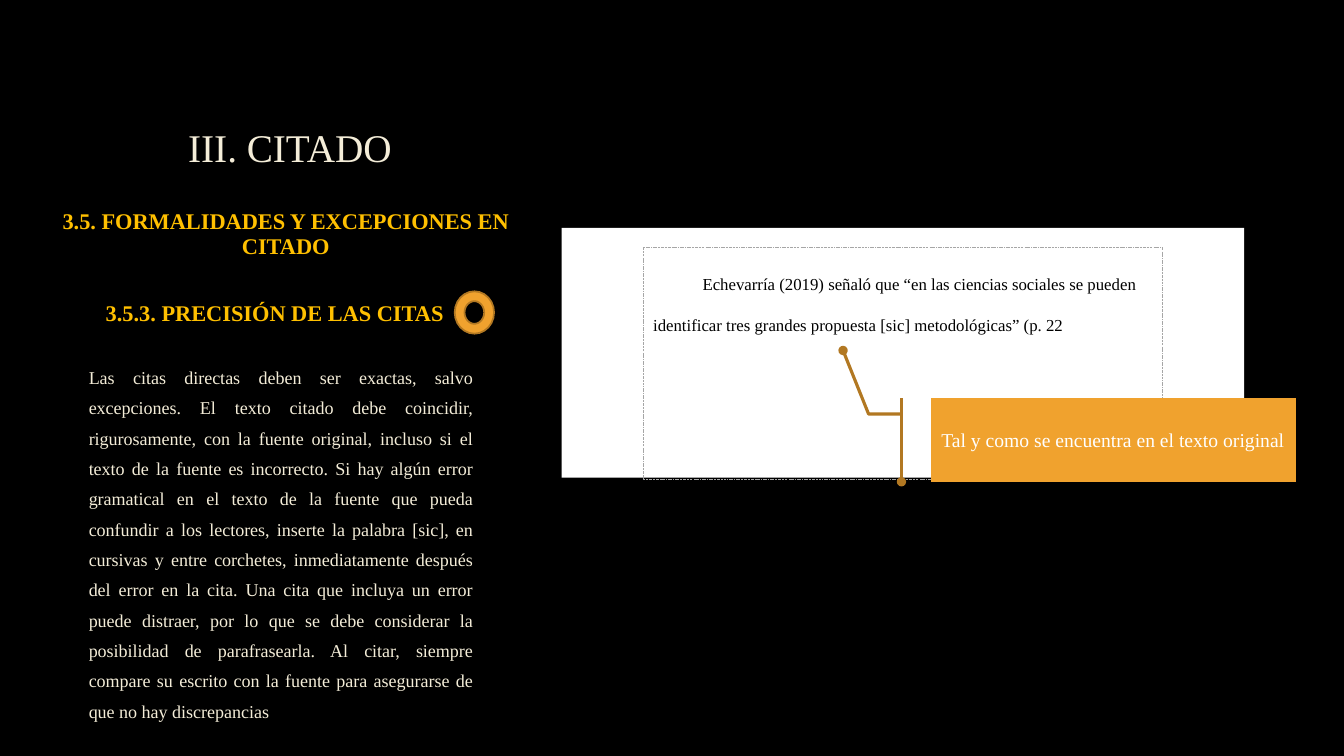
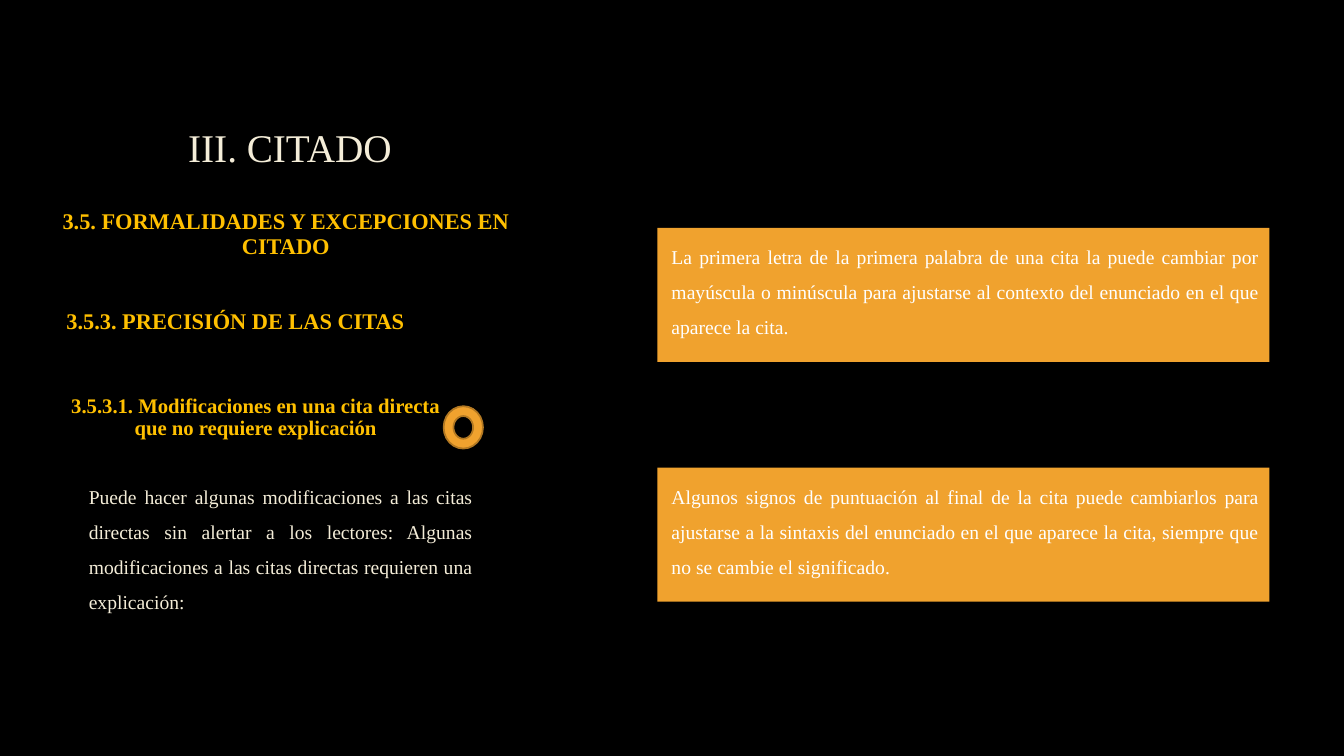
from pptx import Presentation
from pptx.dml.color import RGBColor
from pptx.enum.dml import MSO_LINE
from pptx.enum.shapes import MSO_SHAPE as Shape
from pptx.enum.text import MSO_ANCHOR as Anchor, MSO_AUTO_SIZE as AutoSize, PP_ALIGN as Align
from pptx.oxml.ns import qn
from pptx.util import Inches, Pt
from lxml.etree import SubElement

# Shared style
FONT = "Times New Roman"
BLACK = RGBColor(0x00, 0x00, 0x00)
WHITE = RGBColor(0xFF, 0xFF, 0xFF)
CREAM = RGBColor(0xF4, 0xED, 0xD8)
GOLD = RGBColor(0xFF, 0xC0, 0x00)
ORANGE = RGBColor(0xF0, 0xA2, 0x2E)
BROWN = RGBColor(0xB2, 0x78, 0x22)
GREY = RGBColor(0xA6, 0xA6, 0xA6)

COMPARISON_LAYOUT = 4
HEADING_INDEX, BODY_INDEX = 1, 3

# Wording
TITLE = "III. CITADO"
SECTION = "3.5. FORMALIDADES Y EXCEPCIONES EN CITADO"
SUBSECTION = "3.5.3. PRECISIÓN DE LAS CITAS"
PRECISION = (
    "Las citas directas deben ser exactas, salvo excepciones. El texto citado debe coincidir, "
    "rigurosamente, con la fuente original, incluso si el texto de la fuente es incorrecto. "
    "Si hay algún error gramatical en el texto de la fuente que pueda confundir a los lectores, "
    "inserte la palabra [sic], en cursivas y entre corchetes, inmediatamente después del error "
    "en la cita. Una cita que incluya un error puede distraer, por lo que se debe considerar la "
    "posibilidad de parafrasearla. Al citar, siempre compare su escrito con la fuente para "
    "asegurarse de que no hay discrepancias"
)
QUOTE = (
    "Echevarría (2019) señaló que “en las ciencias sociales se pueden identificar tres grandes "
    "propuesta [sic] metodológicas” (p. 22"
)
CALLOUT = "Tal y como se encuentra en el texto original"
MODIFICATIONS_HEADING = "3.5.3.1. Modificaciones en una cita directa que no requiere explicación"
MODIFICATIONS = (
    "Puede hacer algunas modificaciones a las citas directas sin alertar a los lectores: "
    "Algunas modificaciones a las citas directas requieren una explicación:"
)
RULES = (
    "La primera letra de la primera palabra de una cita la puede cambiar por mayúscula o "
    "minúscula para ajustarse al contexto del enunciado en el que aparece la cita.",
    "Algunos signos de puntuación al final de la cita puede cambiarlos para ajustarse a la "
    "sintaxis del enunciado en el que aparece la cita, siempre que no se cambie el significado.",
)


def write_text(shape, text, size=14, color=CREAM, bold=False, align=Align.CENTER,
               spacing=1.0, anchor=Anchor.TOP, margin_left=0.1, first_indent=0):
    """Fill a shape, text box or placeholder with one formatted paragraph."""
    frame = shape.text_frame
    frame.word_wrap = True
    frame.auto_size = AutoSize.NONE
    frame.vertical_anchor = anchor
    frame.margin_left = Inches(margin_left)
    frame.margin_right = Inches(0.1)
    frame.margin_top = frame.margin_bottom = Inches(0.05)
    paragraph = frame.paragraphs[0]
    paragraph.alignment = align
    paragraph.line_spacing = spacing
    paragraph.space_before = Pt(0)
    if first_indent:
        paragraph._p.get_or_add_pPr().set("indent", str(Inches(first_indent)))
    run = paragraph.add_run()
    run.text = text
    run.font.name = FONT
    run.font.size = Pt(size)
    run.font.bold = bold
    run.font.color.rgb = color


def fill_placeholder(placeholder, box, text, **style):
    placeholder.left, placeholder.top, placeholder.width, placeholder.height = map(Inches, box)
    write_text(placeholder, text, **style)


def add_text(slide, box, text, **style):
    write_text(slide.shapes.add_textbox(*map(Inches, box)), text, **style)


def add_shape(slide, kind, box, fill=None, line=None, line_width=1.0):
    shape = slide.shapes.add_shape(kind, *map(Inches, box))
    shape.shadow.inherit = False
    if fill is None:
        shape.fill.background()
    else:
        shape.fill.solid()
        shape.fill.fore_color.rgb = fill
    if line is None:
        shape.line.fill.background()
    else:
        shape.line.color.rgb = line
        shape.line.width = Pt(line_width)
    return shape


def add_ring(slide, left, top):
    add_shape(slide, Shape.DONUT, (left, top, 0.39, 0.42), ORANGE, BROWN, 1.25)


def add_callout(slide, box, text):
    """Accent callout whose leader ends in a dot."""
    callout = add_shape(slide, Shape.LINE_CALLOUT_2_ACCENT_BAR, box, ORANGE, BROWN, 2.25)
    for index, value in enumerate((0.19, -0.08, 0.19, -0.17, -0.57, -0.24)):
        callout.adjustments[index] = value
    SubElement(callout.line._get_or_add_ln(), qn("a:tailEnd"), type="oval")
    write_text(callout, text, color=WHITE, anchor=Anchor.MIDDLE)


def add_content_slide(presentation):
    """Slide with the shared title and section heading."""
    slide = presentation.slides.add_slide(presentation.slide_layouts[COMPARISON_LAYOUT])
    for placeholder in list(slide.placeholders):
        if placeholder.placeholder_format.idx not in (0, HEADING_INDEX, BODY_INDEX):
            placeholder.element.getparent().remove(placeholder.element)
    fill_placeholder(slide.shapes.title, (0.85, -0.24, 4.05, 1.99), TITLE,
                     size=28, spacing=0.9, anchor=Anchor.BOTTOM)
    add_text(slide, (0.51, 2.04, 4.65, 0.61), SECTION,
             size=16, color=GOLD, bold=True, spacing=0.9)
    parts = {part.placeholder_format.idx: part for part in slide.placeholders}
    return slide, parts[HEADING_INDEX], parts[BODY_INDEX]


def build_precision_slide(presentation):
    slide, heading, body = add_content_slide(presentation)
    fill_placeholder(heading, (0.7, 2.89, 4.05, 0.58), SUBSECTION,
                     size=16, color=GOLD, bold=True, spacing=1.1)
    fill_placeholder(body, (0.74, 3.5, 4.05, 3.6), PRECISION,
                     size=12.9, align=Align.JUSTIFY, spacing=1.4, margin_left=0.14)
    # Quotation sample
    add_shape(slide, Shape.RECTANGLE, (5.57, 2.26, 6.77, 2.48), WHITE)
    add_text(slide, (6.38, 2.47, 5.34, 1.04), QUOTE, size=12, color=BLACK,
             align=Align.LEFT, spacing=2.0, first_indent=0.49)
    frame = add_shape(slide, Shape.RECTANGLE, (6.38, 2.45, 5.15, 2.3), line=GREY, line_width=0.25)
    frame.line.dash_style = MSO_LINE.DASH_DOT_DOT
    add_callout(slide, (9.23, 3.95, 3.62, 0.83), CALLOUT)
    add_ring(slide, 4.51, 2.89)


def build_modifications_slide(presentation):
    slide, heading, body = add_content_slide(presentation)
    add_text(slide, (0.31, 2.97, 4.05, 0.58), SUBSECTION,
             size=16, color=GOLD, bold=True, spacing=1.1)
    fill_placeholder(heading, (0.51, 3.87, 4.05, 0.58), MODIFICATIONS_HEADING,
                     size=14.8, color=GOLD, bold=True, spacing=0.9)
    paragraph_style = dict(align=Align.JUSTIFY, spacing=1.5, margin_left=0.14)
    fill_placeholder(body, (0.74, 4.64, 4.05, 1.71), MODIFICATIONS, **paragraph_style)
    # Rule cards
    for index, rule in enumerate(RULES):
        card = add_shape(slide, Shape.RECTANGLE, (6.52, 2.26 + index * 2.38, 6.07, 1.33), ORANGE)
        write_text(card, rule, color=WHITE, **paragraph_style)
    add_ring(slide, 4.4, 4.03)


def main():
    presentation = Presentation()
    presentation.slide_width = Inches(13.33)
    presentation.slide_height = Inches(7.5)
    background = presentation.slide_master.background.fill
    background.solid()
    background.fore_color.rgb = BLACK
    build_precision_slide(presentation)
    build_modifications_slide(presentation)
    presentation.save("out.pptx")


if __name__ == "__main__":
    main()
